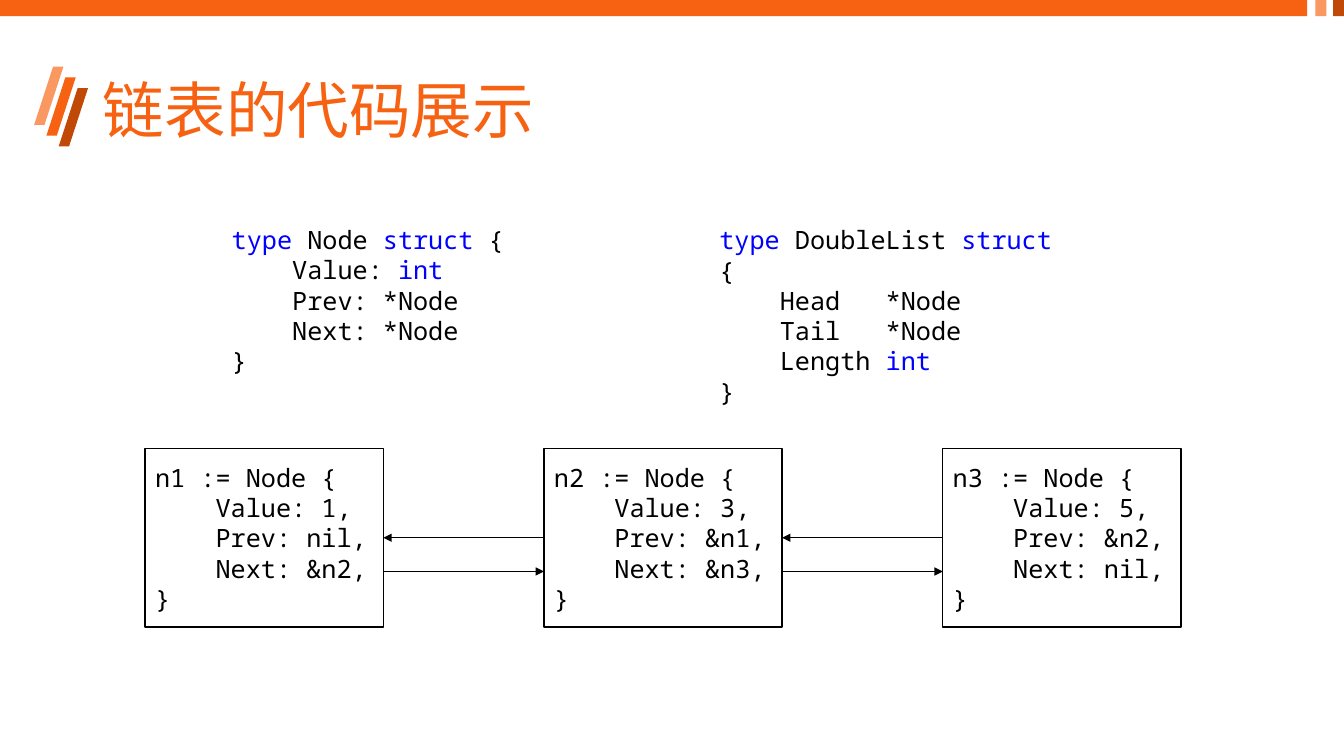
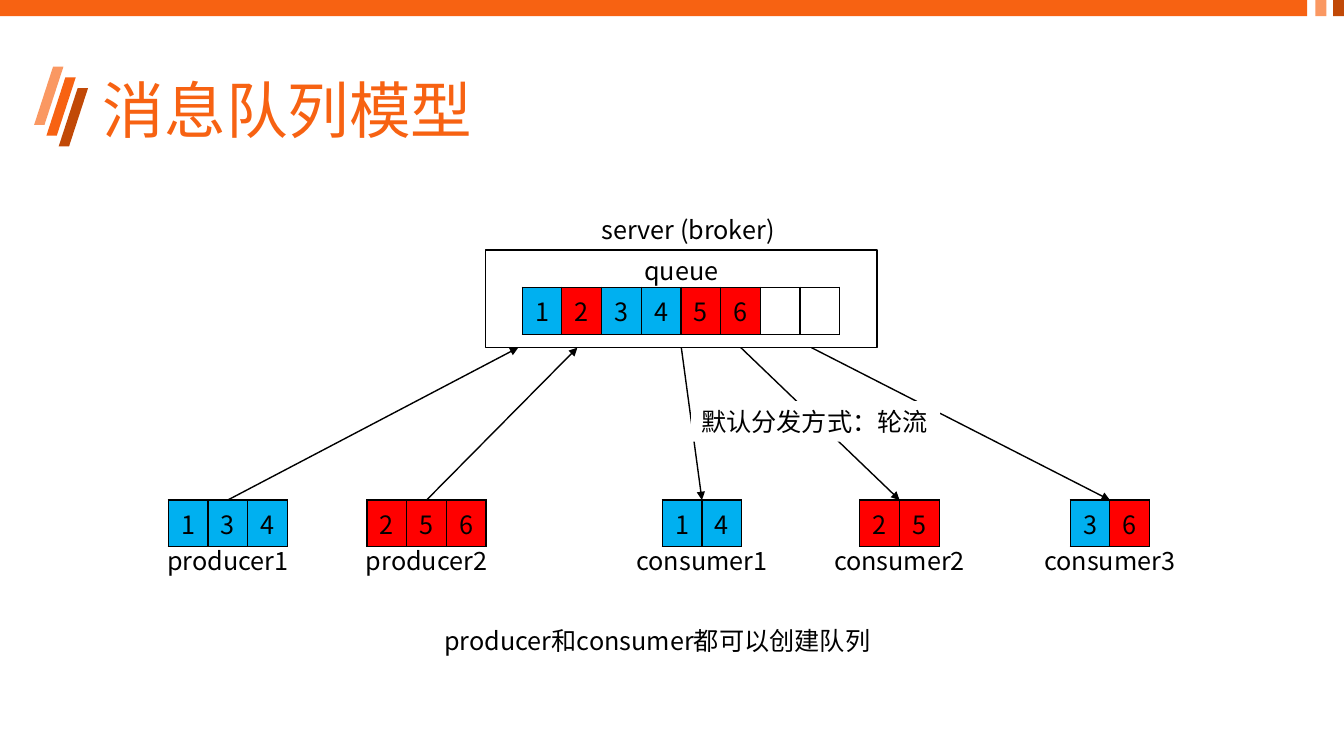
from dataclasses import dataclass

from lxml import etree
from pptx import Presentation
from pptx import util as u
from pptx.dml.color import RGBColor
from pptx.enum import shapes, text
from pptx.oxml.ns import qn


@dataclass(frozen=True)
class Theme:
    main: str = "F76212"
    light: str = "FA9862"
    dark: str = "C14907"
    ink: str = "000000"
    paper: str = "FFFFFF"
    keyword: str = "0000FF"
    blue: str = "00B0F0"
    red: str = "FF0000"
    sans: str = "Noto Sans CJK SC"
    mono: str = "Noto Sans Mono"
    title_size: int = 44
    body_size: int = 18
    line_width: int = 1


theme = Theme()
LEFT, CENTER = text.PP_ALIGN.LEFT, text.PP_ALIGN.CENTER
TOP, MIDDLE = text.MSO_ANCHOR.TOP, text.MSO_ANCHOR.MIDDLE
RECTANGLE = shapes.MSO_SHAPE.RECTANGLE


def write(frame, lines, font=theme.sans, size=theme.body_size, color=theme.ink,
          align=LEFT, anchor=TOP, wrap=True, spacing=None):
    """Fill a text frame; parts of a line between bars take the keyword colour."""
    frame.word_wrap = wrap
    frame.vertical_anchor = anchor
    for number, line in enumerate(lines):
        para = frame.add_paragraph() if number else frame.paragraphs[0]
        para.alignment = align
        if spacing:
            para.line_spacing = spacing
        for index, part in enumerate(line.split("|")):
            if not part:
                continue
            span = para.add_run()
            span.text = part
            span.font.size = u.Pt(size)
            span.font.color.rgb = RGBColor.from_string(theme.keyword if index % 2 else color)
            span.font.name = font
            etree.SubElement(span._r.get_or_add_rPr(), qn("a:ea"), typeface=font)


def add_box(page, bounds, fill, outlined=False, kind=RECTANGLE):
    """Add a flat preset shape; bounds are left, top, width, height in cm."""
    box = page.shapes.add_shape(kind, *map(u.Cm, bounds))
    box.shadow.inherit = False
    box.fill.solid()
    box.fill.fore_color.rgb = RGBColor.from_string(fill)
    if outlined:
        box.line.color.rgb = RGBColor.from_string(theme.ink)
        box.line.width = u.Pt(theme.line_width)
    else:
        box.line.fill.background()
    return box


deck = Presentation()
deck.slide_width, deck.slide_height = u.Cm(33.87), u.Cm(19.05)

# Shared layout: title place, slanted strokes and top band
layout = deck.slide_layouts[5]
for holder in list(layout.placeholders)[1:]:
    holder.element.getparent().remove(holder.element)
holder = layout.placeholders[0]
holder.left, holder.top, holder.width, holder.height = map(u.Cm, (2.34, 1.02, 29.21, 3.68))

pages = []
for title in ("链表的代码展示", "消息队列模型"):
    page = deck.slides.add_slide(layout)
    frame = page.shapes.title.text_frame
    frame.auto_size = text.MSO_AUTO_SIZE.NONE
    write(frame, [title], size=theme.title_size, color=theme.main, anchor=MIDDLE, spacing=0.9)
    pages.append(page)
list_page, queue_page = pages

decor = []
bars = ((0, 32.94), (33.15, 0.28), (33.6, 0.28))
for (left, width), color in zip(bars, (theme.main, theme.light, theme.dark)):
    decor.append(add_box(list_page, (left, 0, width, 0.41), color))
for step, color in enumerate((theme.light, theme.main, theme.dark)):
    bounds = (0.86 + 0.31 * step, 1.68 + 0.27 * step, 0.74, 1.47)
    stroke = add_box(list_page, bounds, color, kind=shapes.MSO_SHAPE.PARALLELOGRAM)
    stroke.adjustments[0] = 0.646
    decor.append(stroke)
for position, box in enumerate(decor, start=2):
    layout.shapes.element.insert(position, box.element)

# Linked list
arrows = []  # page, start, end, shapes joined (or None)
node_left, node_top, node_width, node_height, node_pitch = 3.66, 11.3, 6, 4.5, 10.05
nodes = []
for index, (value, before, after) in enumerate(((1, "nil", "&n2"), (3, "&n1", "&n3"), (5, "&n2", "nil"))):
    left = node_left + node_pitch * index
    node = add_box(list_page, (left, node_top, node_width, node_height), theme.paper, outlined=True)
    code = [f"n{index + 1} := Node {{", f"    Value: {value},", f"    Prev: {before},",
            f"    Next: {after},", "}"]
    write(node.text_frame, code, font=theme.mono, anchor=MIDDLE)
    if nodes:
        gap_left, middle, next_y = left - node_pitch + node_width, node_top + node_height / 2, 14.4
        arrows.append((list_page, (left, middle), (gap_left, middle), (node, nodes[-1])))
        arrows.append((list_page, (gap_left, next_y), (left, next_y), None))
    nodes.append(node)

node_type = add_box(list_page, (5.59, 5.31, 7.92, 4.5), theme.paper)
write(node_type.text_frame,
      ["|type| Node |struct| {", "    Value: |int|", "    Prev: *Node", "    Next: *Node", "}"],
      font=theme.mono, anchor=MIDDLE)
list_type = list_page.shapes.add_textbox(*map(u.Cm, (17.88, 5.54, 8.99, 4.11)))
write(list_type.text_frame,
      ["|type| DoubleList |struct| {", "    Head   *Node", "    Tail   *Node", "    Length |int|", "}"],
      font=theme.mono)

# Message queue
server_bottom, party_top, cell_height = 8.76, 12.6, 1.04
server = add_box(queue_page, (12.24, 6.3, 9.86, server_bottom - 6.3), theme.paper, outlined=True)
write(server.text_frame, ["queue"], align=CENTER)

rows = [(13.16, 7.24, 1.19, "123456  ")]  # left, top, height, one message per 1 cm cell
labels = [("server (broker)", 14.91, 5.28, 4.88, LEFT)]
parties = (("producer1", 4.24, "134", 13.06, True), ("producer2", 9.25, "256", 14.55, True),
           ("consumer1", 16.69, "14", 17.17, False), ("consumer2", 21.67, "25", 18.67, False),
           ("consumer3", 26.97, "36", 20.45, False))
for name, left, messages, server_x, sends in parties:
    center = left + len(messages) / 2
    rows.append((left, party_top, cell_height, messages))
    labels.append((name, center - 2, 13.62, 4, CENTER))
    ends = [(center, party_top), (server_x, server_bottom)]
    start, end = ends if sends else reversed(ends)
    arrows.append((queue_page, start, end, None))

fills = {**dict.fromkeys("134", theme.blue), **dict.fromkeys("256", theme.red), " ": theme.paper}
for left, top, height, messages in rows:
    bounds = map(u.Cm, (left, top, len(messages), height))
    table = queue_page.shapes.add_table(1, len(messages), *bounds).table
    table.first_row = table.horz_banding = False
    for cell, message in zip(table.iter_cells(), messages):
        write(cell.text_frame, [message.strip()], align=CENTER)
        properties = cell._tc.get_or_add_tcPr()
        for side in ("lnL", "lnR", "lnT", "lnB"):
            border = etree.SubElement(properties, qn(f"a:{side}"), w=str(u.Pt(theme.line_width)))
            solid = etree.SubElement(border, qn("a:solidFill"))
            etree.SubElement(solid, qn("a:srgbClr"), val=theme.ink)
        cell.fill.solid()
        cell.fill.fore_color.rgb = RGBColor.from_string(fills[message])

for name, left, top, width, align in labels:
    label = queue_page.shapes.add_textbox(*map(u.Cm, (left, top, width, 1.02)))
    write(label.text_frame, [name], align=align, wrap=False)

# Arrows of both slides
for page, start, end, joined in arrows:
    arrow = page.shapes.add_connector(shapes.MSO_CONNECTOR.STRAIGHT, *map(u.Cm, (*start, *end)))
    arrow.line.color.rgb = RGBColor.from_string(theme.ink)
    arrow.line.width = u.Pt(theme.line_width)
    etree.SubElement(arrow.line._get_or_add_ln(), qn("a:tailEnd"), type="triangle")
    etree.SubElement(arrow.element.spPr, qn("a:effectLst"))
    if joined:
        source, target = joined
        arrow.begin_connect(source, 1)
        arrow.end_connect(target, 3)

# Notes that lie over the arrows
dispatch = add_box(queue_page, (17.42, 10.11, 6.27, 1.02), theme.paper)
write(dispatch.text_frame, ["默认分发方式：轮流"], wrap=False)
remark = queue_page.shapes.add_textbox(*map(u.Cm, (10.95, 15.62, 11.3, 1.02)))
write(remark.text_frame, ["producer和consumer都可以创建队列"])

deck.save("out.pptx")
